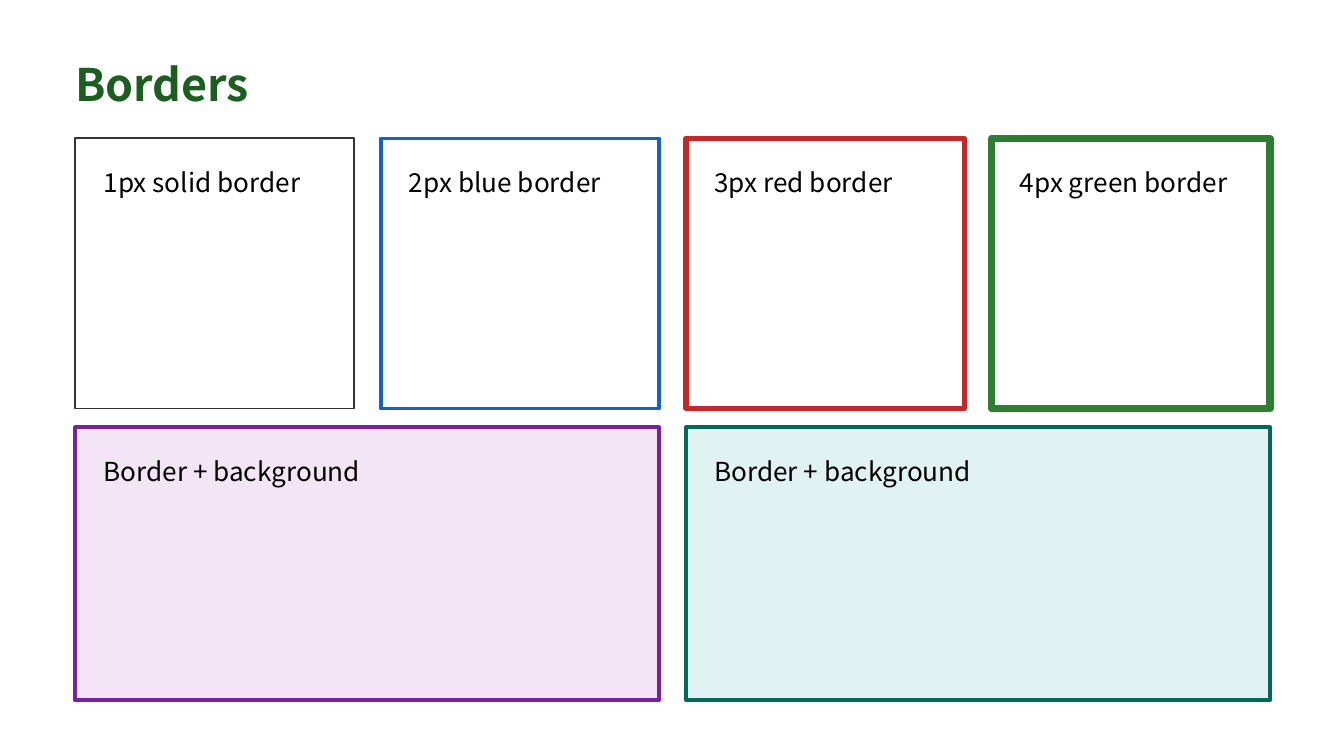
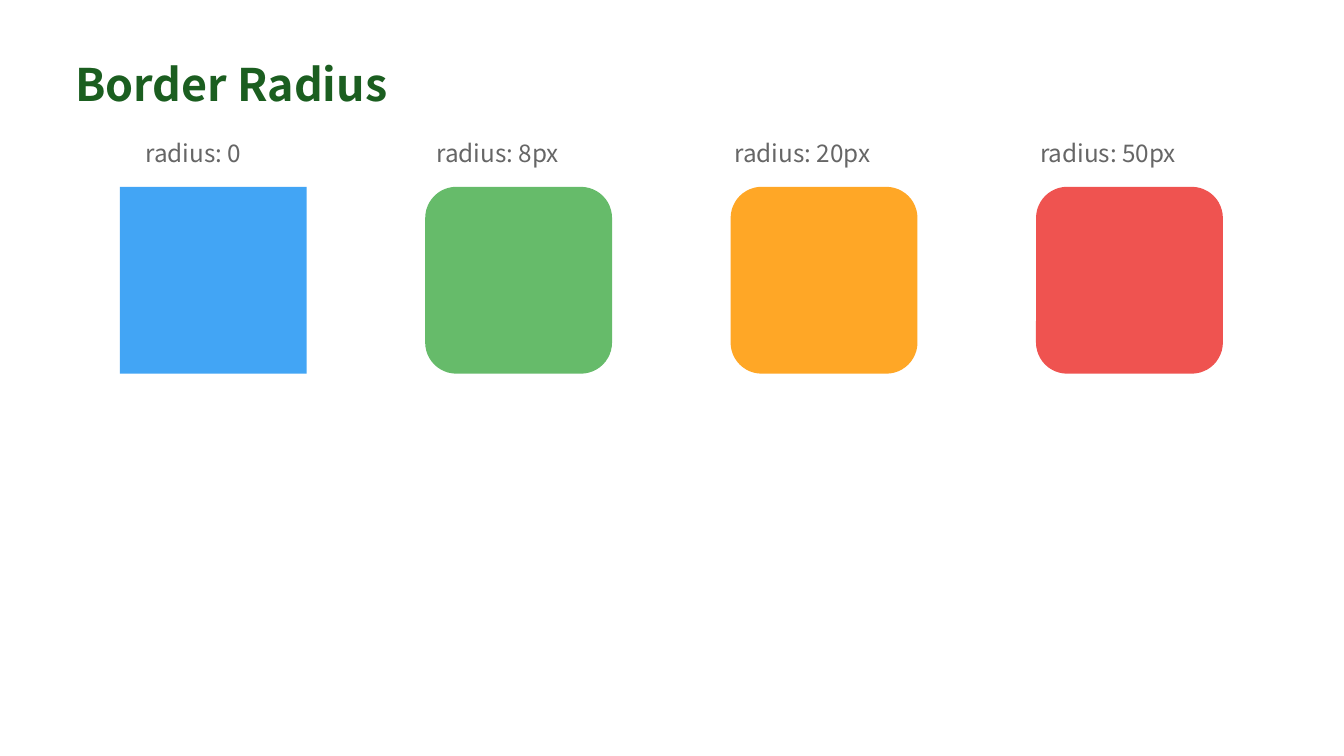
from pptx import Presentation
from pptx.dml.color import RGBColor
from pptx.enum.shapes import MSO_SHAPE as Shape
from pptx.util import Inches, Pt

FONT = "Noto Sans CJK SC"
WHITE = RGBColor(0xFF, 0xFF, 0xFF)
BLACK = RGBColor(0x00, 0x00, 0x00)
TITLE_GREEN = RGBColor(0x1B, 0x5E, 0x20)
LABEL_GRAY = RGBColor(0x66, 0x66, 0x66)
CHARCOAL = RGBColor(0x33, 0x33, 0x33)
BLUE = RGBColor(0x15, 0x65, 0xC0)
RED = RGBColor(0xC6, 0x28, 0x28)
GREEN = RGBColor(0x2E, 0x7D, 0x32)
PURPLE = RGBColor(0x7B, 0x1F, 0xA2)
TEAL = RGBColor(0x00, 0x69, 0x5C)
PALE_PURPLE = RGBColor(0xF3, 0xE5, 0xF5)
PALE_TEAL = RGBColor(0xE0, 0xF2, 0xF1)
SKY_BLUE = RGBColor(0x42, 0xA5, 0xF5)
LIGHT_GREEN = RGBColor(0x66, 0xBB, 0x6A)
ORANGE = RGBColor(0xFF, 0xA7, 0x26)
CORAL = RGBColor(0xEF, 0x53, 0x50)

SLIDE_WIDTH = Inches(10)
SLIDE_HEIGHT = SLIDE_WIDTH * 9 // 16
LEFT, CONTENT_TOP, CONTENT_WIDTH = 0.56, 1.03, 8.89
GAP = 0.2
CARD_PADDING = 0.21
SQUARE_SIDE = 1.39
SQUARE_OFFSET = 0.36  # from the top of a label to the top of its square

# text, border colour, border width in points, fill
BORDER_CARDS = [
    ("1px solid border", CHARCOAL, 1, None),
    ("2px blue border", BLUE, 2, None),
    ("3px red border", RED, 3, None),
    ("4px green border", GREEN, 4, None),
]
FILLED_CARDS = [
    ("Border + background", PURPLE, 2, PALE_PURPLE),
    ("Border + background", TEAL, 2, PALE_TEAL),
]
# label, label width, shape type, fill
RADIUS_SAMPLES = [
    ("radius: 0", 1.01, Shape.RECTANGLE, SKY_BLUE),
    ("radius: 8px", 1.22, Shape.ROUNDED_RECTANGLE, LIGHT_GREEN),
    ("radius: 20px", 1.33, Shape.ROUNDED_RECTANGLE, ORANGE),
    ("radius: 50px", 1.33, Shape.ROUNDED_RECTANGLE, CORAL),
]


def columns(count):
    """Return the left edges and the common width of equal columns."""
    width = (CONTENT_WIDTH - GAP * (count - 1)) / count
    return [LEFT + i * (width + GAP) for i in range(count)], width


def add_text(slide, text, left, top, width, height, size, color, bold=False):
    box = slide.shapes.add_textbox(
        Inches(left), Inches(top), Inches(width), Inches(height))
    frame = box.text_frame
    frame.word_wrap = True
    frame.margin_left = frame.margin_right = 0
    frame.margin_top = frame.margin_bottom = 0
    frame.text = text
    font = frame.paragraphs[0].runs[0].font
    font.name, font.size, font.bold = FONT, Pt(size), bold
    font.color.rgb = color


def add_box(slide, kind, left, top, width, height, fill=None, line=None, weight=0):
    shape = slide.shapes.add_shape(
        kind, Inches(left), Inches(top), Inches(width), Inches(height))
    shape.shadow.inherit = False
    if fill is None:
        shape.fill.background()
    else:
        shape.fill.solid()
        shape.fill.fore_color.rgb = fill
    if line is None:
        shape.line.fill.background()
    else:
        shape.line.color.rgb = line
        shape.line.width = Pt(weight)


def add_titled_slide(presentation, title):
    slide = presentation.slides.add_slide(presentation.slide_layouts[6])
    slide.background.fill.solid()
    slide.background.fill.fore_color.rgb = WHITE
    add_text(slide, title, LEFT, 0.42, CONTENT_WIDTH, 0.47, 24, TITLE_GREEN, True)
    return slide


def add_card_row(slide, cards, top, height, text_height):
    lefts, width = columns(len(cards))
    for left, (text, border, weight, fill) in zip(lefts, cards):
        add_box(slide, Shape.RECTANGLE, left, top, width, height, fill, border, weight)
        add_text(slide, text, left + CARD_PADDING, top + CARD_PADDING,
                 width - 2 * CARD_PADDING, text_height, 14, BLACK)


def add_radius_row(slide, samples, top):
    lefts, width = columns(len(samples))
    for left, (label, label_width, kind, fill) in zip(lefts, samples):
        center = left + width / 2 - 0.01
        add_text(slide, label, center - label_width / 2, top,
                 label_width, 0.26, 13, LABEL_GRAY)
        add_box(slide, kind, center - SQUARE_SIDE / 2, top + SQUARE_OFFSET,
                SQUARE_SIDE, SQUARE_SIDE, fill)


def main():
    presentation = Presentation()
    presentation.slide_width = SLIDE_WIDTH
    presentation.slide_height = SLIDE_HEIGHT

    borders = add_titled_slide(presentation, "Borders")
    add_card_row(borders, BORDER_CARDS, CONTENT_TOP, 2.01, 0.56)
    add_card_row(borders, FILLED_CARDS, 3.18, 2.03, 0.28)

    radius = add_titled_slide(presentation, "Border Radius")
    add_radius_row(radius, RADIUS_SAMPLES, CONTENT_TOP)

    presentation.save("out.pptx")


if __name__ == "__main__":
    main()
